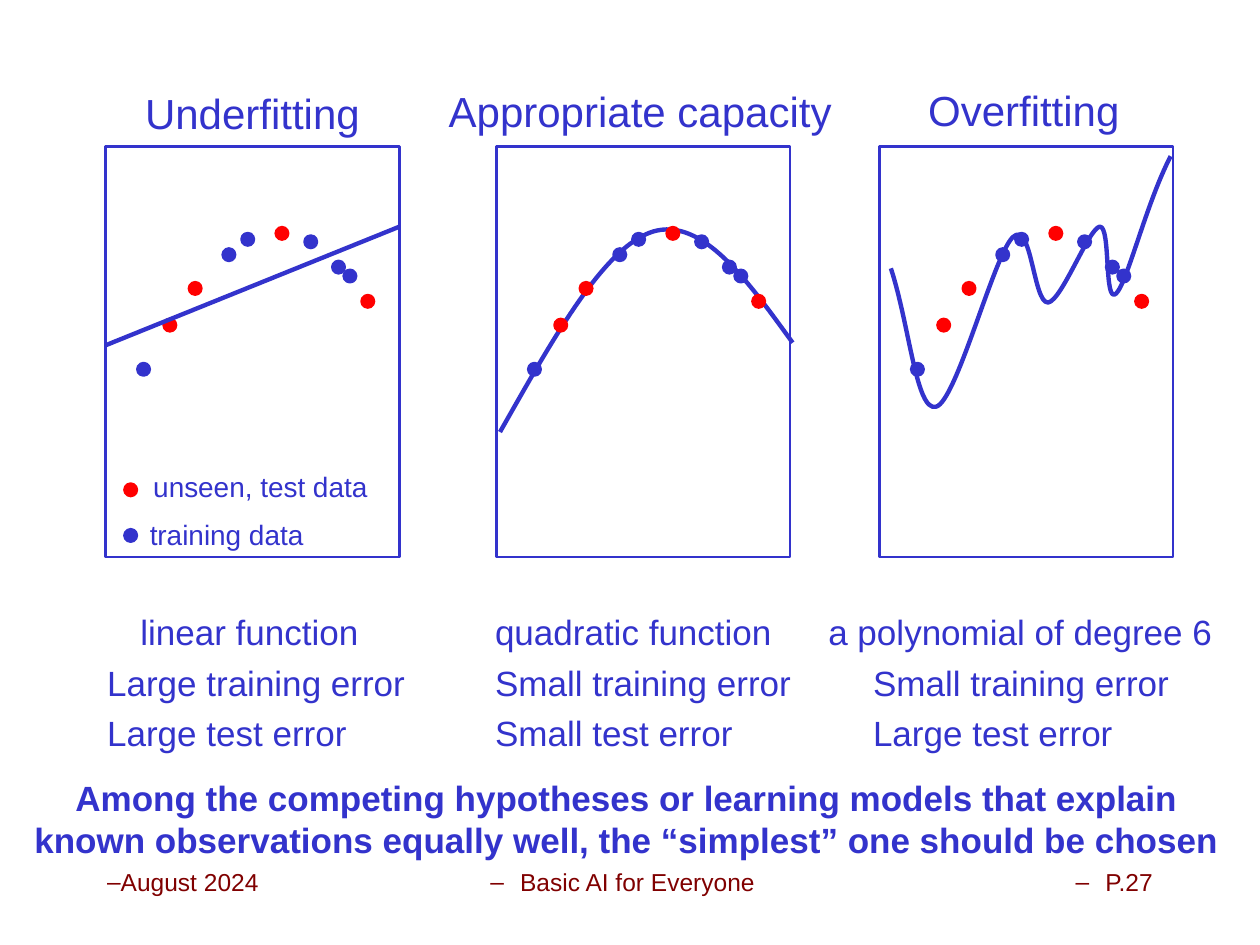
from typing import NamedTuple

from lxml import etree
from pptx import Presentation
from pptx import util as u
from pptx.dml.color import RGBColor
from pptx.enum import shapes, text
from pptx.oxml import ns

COLORS = {"ink": "3333CC", "test": "FF0000", "paper": "FFFFFF", "footer": "800000"}
ALIGN = text.PP_ALIGN
Point = tuple[float, float]

# All lengths are in centimetres.
PANEL_TOP, PANEL_WIDTH, PANEL_HEIGHT = 2.95, 5.92, 8.28
DOT_SIZE = 0.25
# Top-left corners of the dots, measured from the corner of their panel
TRAINING_DOTS = [(0.64, 4.37), (4.8, 2.49), (2.74, 1.75),
                 (2.36, 2.06), (4.01, 1.8), (4.57, 2.31)]
TEST_DOTS = [(1.17, 3.48), (1.68, 2.74), (3.43, 1.63), (5.16, 3)]

# A start point followed by two control points and an end point per segment
QUADRATIC = [(10.08, 8.71),
             (11.13, 6.86), (12.17, 4.98), (13.16, 4.67),
             (14.15, 4.37), (15.06, 5.64), (15.98, 6.91)]
DEGREE_SIX = [(17.96, 5.41),
              (18.34, 6.58), (18.47, 8.31), (18.87, 8.2),
              (19.28, 8.1), (20.04, 5.13), (20.42, 4.78),
              (20.8, 4.42), (20.83, 6.12), (21.13, 6.1),
              (21.41, 6.05), (21.95, 4.6), (22.17, 4.57),
              (22.4, 4.55), (22.25, 6.15), (22.5, 5.92),
              (22.73, 5.69), (23.11, 4.09), (23.6, 3.15)]


class Panel(NamedTuple):
    left: float
    curve: list[Point]
    curve_over_test_dots: bool


class Label(NamedTuple):
    lines: list[str]
    left: float
    top: float
    width: float
    height: float
    size: int = 20
    align: ALIGN = ALIGN.LEFT
    color: str = "ink"
    bold: bool = False
    tabs: tuple[float, ...] = ()
    dash: bool = False


PANELS = [Panel(2.13, [], False), Panel(10.01, QUADRATIC, False),
          Panel(17.73, DEGREE_SIX, True)]

CENTER, RIGHT = ALIGN.CENTER, ALIGN.RIGHT
FOOTER = {"top": 17.35, "height": 1.27, "size": 14, "color": "footer", "dash": True}
HEADING = {"height": 1.27, "size": 24, "align": CENTER}
LEGEND = {"width": 4.88, "height": 0.94, "size": 16}
ERRORS = {"top": 13.21, "width": 6.55, "height": 2.13}
LABELS = [
    Label(["unseen, test data"], 2.84, 9.35, **LEGEND),
    Label(["training data"], 2.77, 10.31, **LEGEND),
    Label(["Underfitting"], 2.13, 1.63, 5.92, **HEADING),
    Label(["Appropriate capacity"], 8.46, 1.6, 8.89, **HEADING),
    Label(["Overfitting"], 17.68, 1.57, 5.92, **HEADING),
    Label(["\tlinear function\tquadratic function\ta polynomial of degree 6"],
          0.79, 12.19, 24.61, 1.12, tabs=(3.99, 11.73, 19.53)),
    Label(["Large training error", "Large test error"], 1.91, **ERRORS),
    Label(["Small training error", "Small test error"], 9.73, **ERRORS),
    Label(["Small training error", "Large test error"], 17.35, **ERRORS),
    Label(["Among the competing hypotheses or learning models that explain known "
           "observations equally well, the “simplest” one should be chosen"],
          0.33, 15.52, 24.61, 1.96, align=CENTER, bold=True),
    Label(["August 2024"], 1.91, width=6.35, **FOOTER),
    Label(["Basic AI for Everyone"], 8.69, width=8.05, align=CENTER, **FOOTER),
    Label(["P.27"], 18.21, width=5.28, align=RIGHT, **FOOTER),
]


def rgb(name: str) -> RGBColor:
    return RGBColor.from_string(COLORS[name])


def add_child(parent, tag: str, **attributes):
    return etree.SubElement(parent, ns.qn(tag), attributes)


def set_line(shape, color: str, width: float) -> None:
    shape.line.color.rgb = rgb(color)
    shape.line.width = u.Pt(width)


def add_filled(target, kind, left: float, top: float, width: float, height: float,
               fill: str, outline: str) -> None:
    shape = target.add_shape(kind, *map(u.Cm, (left, top, width, height)))
    shape.shadow.inherit = False
    shape.fill.solid()
    shape.fill.fore_color.rgb = rgb(fill)
    set_line(shape, outline, 1.5)


def add_dot(target, left: float, top: float, color: str) -> None:
    add_filled(target, shapes.MSO_SHAPE.OVAL, left, top, DOT_SIZE, DOT_SIZE, color, color)


def add_curve(target, points: list[Point]) -> None:
    """Draw straight lines between the knots, then bend each into a cubic segment."""
    emu = [(u.Cm(x), u.Cm(y)) for x, y in points]
    builder = target.build_freeform(*emu[0])
    builder.add_line_segments(emu[3::3], close=False)
    curve = builder.convert_to_shape()
    curve.shadow.inherit = False
    curve.fill.background()
    set_line(curve, "ink", 2.5)
    segments = list(curve._element.iter(ns.qn("a:lnTo")))
    for index, segment in enumerate(segments):
        segment.tag = ns.qn("a:cubicBezTo")
        segment.remove(segment[0])
        for x, y in emu[3 * index + 1:3 * index + 4]:
            add_child(segment, "a:pt", x=str(x - curve.left), y=str(y - curve.top))


def add_panel(slide, panel: Panel) -> None:
    group = slide.shapes.add_group_shape().shapes
    add_filled(group, shapes.MSO_SHAPE.RECTANGLE, panel.left, PANEL_TOP,
               PANEL_WIDTH, PANEL_HEIGHT, "paper", "ink")

    def add_dots(dots: list[Point], color: str) -> None:
        for x, y in dots:
            add_dot(group, panel.left + x, PANEL_TOP + y, color)

    add_dots(TRAINING_DOTS, "ink")
    if panel.curve and not panel.curve_over_test_dots:
        add_curve(group, panel.curve)
    add_dots(TEST_DOTS, "test")
    if panel.curve_over_test_dots:
        add_curve(group, panel.curve)


def add_linear_fit(slide) -> None:
    fit = slide.shapes.add_connector(shapes.MSO_CONNECTOR.STRAIGHT,
                                     *map(u.Cm, (2.13, 6.96, 8.05, 4.57)))
    set_line(fit, "ink", 2.5)
    add_child(fit._element.spPr, "a:effectLst")


def add_label(slide, label: Label) -> None:
    box = slide.shapes.add_textbox(*map(u.Cm, (label.left, label.top,
                                               label.width, label.height)))
    frame = box.text_frame
    frame.word_wrap = True
    font_values = {"name": "Arial", "size": u.Pt(label.size), "bold": label.bold}
    for index, line in enumerate(label.lines):
        paragraph = frame.paragraphs[0] if index == 0 else frame.add_paragraph()
        paragraph.text = line
        paragraph.alignment = label.align
        if index:
            paragraph.space_before = u.Pt(4.6)
        properties = paragraph._p.get_or_add_pPr()
        if label.dash:
            add_child(properties, "a:buFont", typeface="Arial")
            add_child(properties, "a:buChar", char="–")
        if label.tabs:
            stops = add_child(properties, "a:tabLst")
            for position in label.tabs:
                add_child(stops, "a:tab", pos=str(u.Cm(position)), algn="ctr")
        for attribute, value in font_values.items():
            setattr(paragraph.font, attribute, value)
        paragraph.font.color.rgb = rgb(label.color)


def main() -> None:
    deck = Presentation()
    deck.slide_width, deck.slide_height = u.Cm(25.4), u.Cm(19.05)
    slide = deck.slides.add_slide(deck.slide_layouts[6])
    for panel in PANELS:
        add_panel(slide, panel)
    add_linear_fit(slide)
    for top, color in ((9.75, "test"), (10.67, "ink")):
        add_dot(slide.shapes, 2.51, top, color)
    for label in LABELS:
        add_label(slide, label)
    deck.save("out.pptx")


if __name__ == "__main__":
    main()
